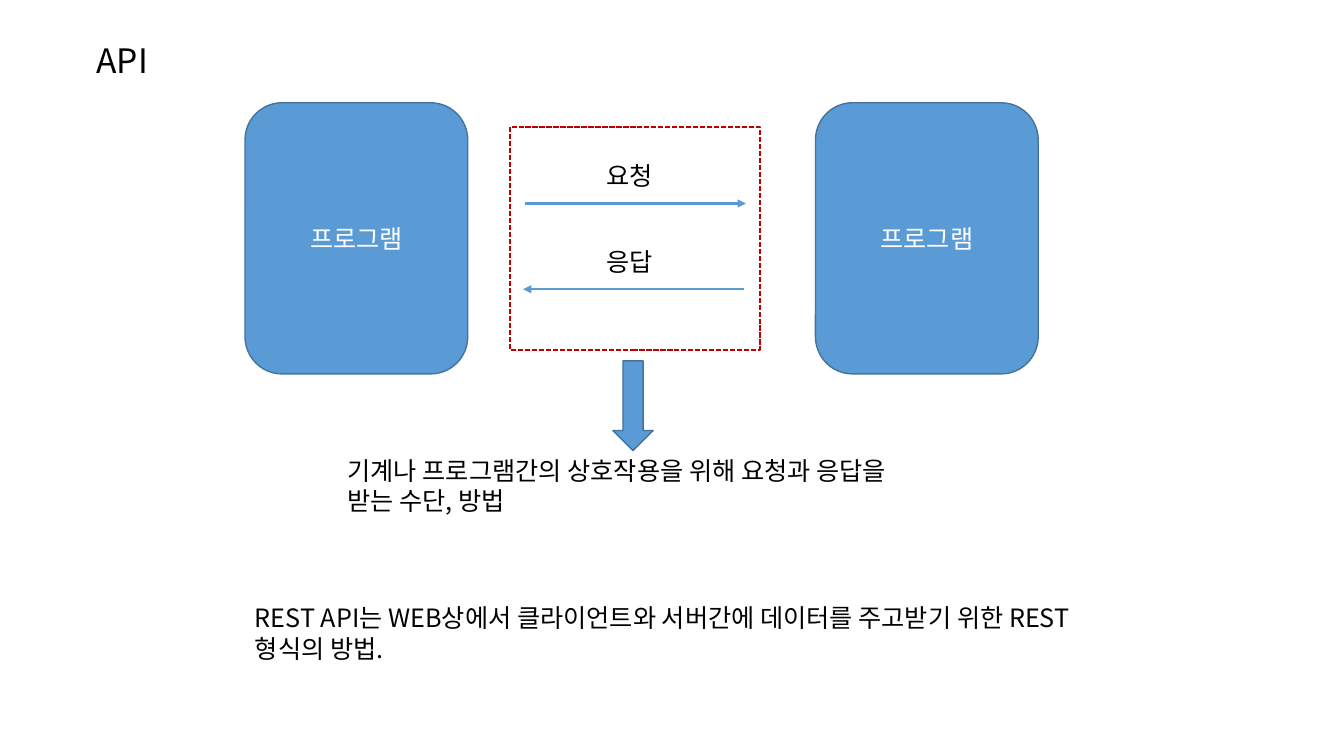
from lxml.etree import SubElement
from pptx import Presentation
from pptx.dml.color import RGBColor
from pptx.enum.dml import MSO_LINE
from pptx.enum.shapes import MSO_CONNECTOR, MSO_SHAPE
from pptx.enum.text import MSO_ANCHOR, MSO_AUTO_SIZE, PP_ALIGN
from pptx.oxml.ns import qn
from pptx.util import Pt

FONT = "Noto Sans CJK KR"
COLORS = {"text": "000000", "white": "FFFFFF", "blue": "5B9BD5", "outline": "43739E", "red": "C00000"}

TITLE = ("API", (61.9, 25.2, 84.2, 36.3))
PARAGRAPHS = [
    ("기계나 프로그램간의 상호작용을 위해 요청과 응답을 받는 수단, 방법", (241.2, 321.8, 434.9, 51)),
    ("REST API는 WEB상에서 클라이언트와 서버간에 데이터를 주고받기 위한 REST형식의 방법.", (175, 427, 607, 51)),
]
PROGRAM = "프로그램"
PROGRAM_LEFTS = [175, 582.5]
PROGRAM_TOP, PROGRAM_WIDTH, PROGRAM_HEIGHT = 73.4, 159.1, 193.7
MESSAGES = [("요청", 375.1, 532.8), ("응답", 531.4, 373.7)]
MESSAGE_TOP, MESSAGE_STEP = 110.9, 61.2
LABEL_LEFT, LABEL_WIDTH, LABEL_HEIGHT = 426.2, 64.1, 29.1
LINE_OFFSET = 34.5
FRAME = (364.3, 90.7, 178.6, 159.1)
DOWN_ARROW = (437.8, 257.8, 28.8, 64.1)


def color(name):
    return RGBColor.from_string(COLORS[name])


def points(box):
    return [Pt(length) for length in box]


def write(shape, text, size=18, fill="text", align=PP_ALIGN.LEFT, anchor=MSO_ANCHOR.TOP):
    frame = shape.text_frame
    frame.word_wrap = True
    frame.vertical_anchor = anchor
    paragraph = frame.paragraphs[0]
    paragraph.alignment = align
    run = paragraph.add_run()
    run.text = text
    run.font.size = Pt(size)
    run.font.name = FONT
    run.font.color.rgb = color(fill)
    SubElement(run.font._element, qn("a:ea"), typeface=FONT)


def add_text(slide, text, box, **text_format):
    shape = slide.shapes.add_textbox(*points(box))
    write(shape, text, **text_format)
    shape.text_frame.auto_size = MSO_AUTO_SIZE.SHAPE_TO_FIT_TEXT


def add_block(slide, kind, box, fill="blue", line="outline", width=1):
    shape = slide.shapes.add_shape(kind, *points(box))
    shape.shadow.inherit = False
    if fill:
        shape.fill.solid()
        shape.fill.fore_color.rgb = color(fill)
    else:
        shape.fill.background()
    shape.line.color.rgb = color(line)
    shape.line.width = Pt(width)
    return shape


def add_arrow(slide, start, end, top):
    connector = slide.shapes.add_connector(MSO_CONNECTOR.STRAIGHT, *points((start, top, end, top)))
    connector.line.color.rgb = color("blue")
    connector.line.width = Pt(1.5)
    SubElement(connector.line._get_or_add_ln(), qn("a:tailEnd"), type="triangle")
    SubElement(connector._element.spPr, qn("a:effectLst"))


def main():
    presentation = Presentation()
    presentation.slide_width, presentation.slide_height = Pt(960), Pt(540)
    slide = presentation.slides.add_slide(presentation.slide_layouts[6])

    add_text(slide, *TITLE, size=24)
    for left in PROGRAM_LEFTS:
        program = add_block(slide, MSO_SHAPE.ROUNDED_RECTANGLE,
                            (left, PROGRAM_TOP, PROGRAM_WIDTH, PROGRAM_HEIGHT))
        write(program, PROGRAM, fill="white", align=PP_ALIGN.CENTER, anchor=MSO_ANCHOR.MIDDLE)
    for index, (label, start, end) in enumerate(MESSAGES):
        top = MESSAGE_TOP + index * MESSAGE_STEP
        add_arrow(slide, start, end, top + LINE_OFFSET)
        add_text(slide, label, (LABEL_LEFT, top, LABEL_WIDTH, LABEL_HEIGHT))
    frame = add_block(slide, MSO_SHAPE.RECTANGLE, FRAME, fill=None, line="red", width=1.25)
    frame.line.dash_style = MSO_LINE.SQUARE_DOT
    add_block(slide, MSO_SHAPE.DOWN_ARROW, DOWN_ARROW)
    for text, box in PARAGRAPHS:
        add_text(slide, text, box)

    presentation.save("out.pptx")


if __name__ == "__main__":
    main()
